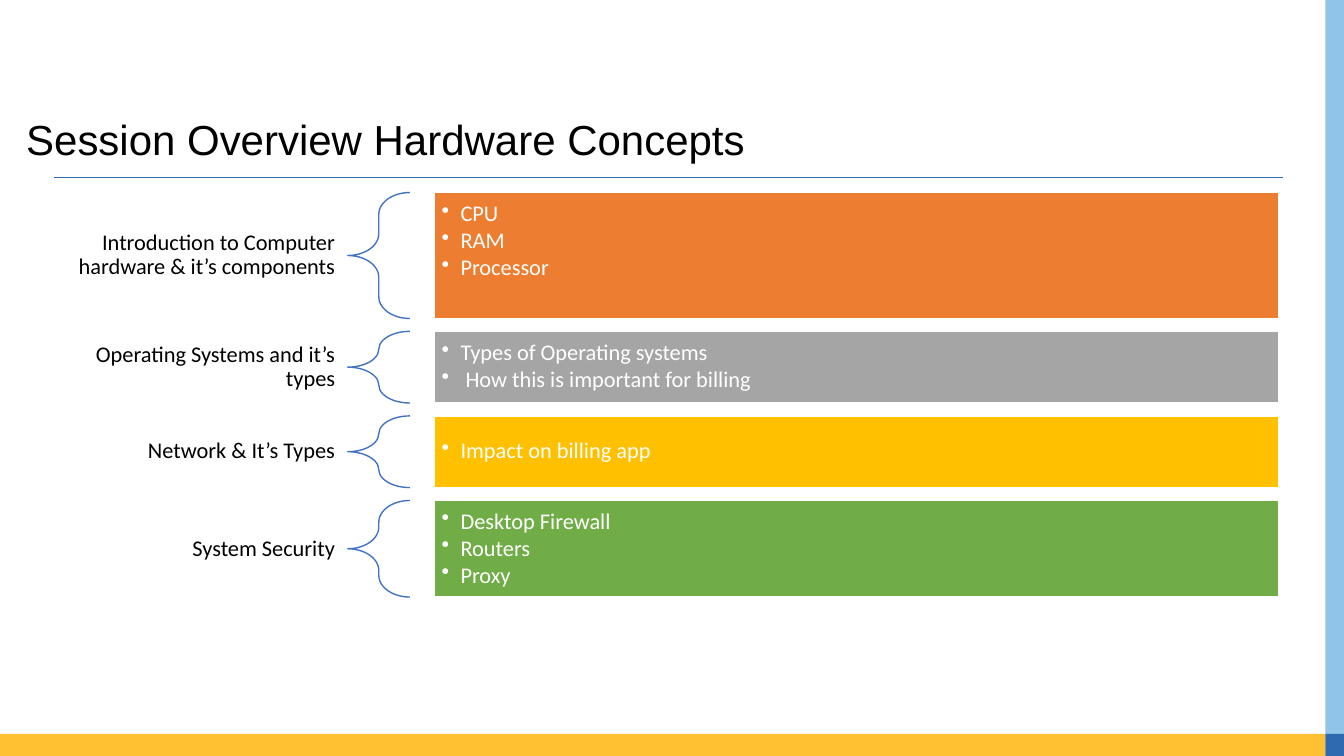
import pptx
import pptx.util
import pptx.dml.color
import pptx.enum.shapes
import pptx.enum.text
import pptx.oxml.ns
from lxml import etree

Pt = pptx.util.Pt
SHAPES = pptx.enum.shapes.MSO_SHAPE
ALIGN = pptx.enum.text.PP_ALIGN
MIDDLE = pptx.enum.text.MSO_ANCHOR.MIDDLE
qn = pptx.oxml.ns.qn

TITLE = "Session Overview Hardware Concepts"
# label, bar colour, row height, room kept free under the bullets, bullets
TOPICS = [
    ("Introduction to Computer hardware & it’s components", "orange", 90, 20,
     ["CPU", "RAM", "Processor"]),
    ("Operating Systems and it’s types", "gray", 51.2, 0,
     ["Types of Operating systems", " How this is important for billing"]),
    ("Network & It’s Types", "gold", 51.2, 0, ["Impact on billing app"]),
    ("System Security", "green", 69, 0,
     ["Desktop Firewall", "Routers", "Proxy"]),
]
COLORS = {
    "black": "000000", "white": "FFFFFF", "brace": "4472C4",
    "orange": "ED7D31", "gray": "A5A5A5", "gold": "FFC000", "green": "70AD47",
    "footer": "FFC031", "side": "90C4E9", "accent": "2F69B0",
}

SLIDE_WIDTH, SLIDE_HEIGHT = 960, 540
SIDE_LEFT, FOOTER_TOP = 946.8, 524.2
FIRST_TOP, ROW_GAP = 137.5, 9.2
LABEL_LEFT, LABEL_WIDTH, LABEL_HEIGHT = 26.6, 221.8, 51.2
BRACE_LEFT, BRACE_WIDTH = 248.4, 44.4
BAR_LEFT, BAR_WIDTH = 310.5, 603.2
BULLET_INDENT = 13.5


def color(name):
    return pptx.dml.color.RGBColor.from_string(COLORS[name])


def add_shape(slide, kind, box, fill=None, line=None):
    shape = slide.shapes.add_shape(kind, *map(Pt, box))
    shape.shadow.inherit = False
    if fill:
        shape.fill.solid()
        shape.fill.fore_color.rgb = color(fill)
    else:
        shape.fill.background()
    if line:
        shape.line.color.rgb = color(line)
        shape.line.width = Pt(1)
    else:
        shape.line.fill.background()
    return shape


def set_frame(text_frame, side, top, bottom):
    text_frame.word_wrap = True
    text_frame.vertical_anchor = MIDDLE
    text_frame.margin_left = text_frame.margin_right = Pt(side)
    text_frame.margin_top, text_frame.margin_bottom = Pt(top), Pt(bottom)


def format_paragraph(paragraph, font_name, size, color_name, align):
    paragraph.alignment = align
    paragraph.line_spacing = 0.9
    for run in paragraph.runs:
        run.font.name = font_name
        run.font.size = Pt(size)
        run.font.color.rgb = color(color_name)


def add_bullet(paragraph):
    properties = paragraph._p.get_or_add_pPr()
    properties.set("marL", str(Pt(BULLET_INDENT)))
    properties.set("indent", str(-Pt(BULLET_INDENT)))
    etree.SubElement(properties, qn("a:buChar")).set("char", "•")


def add_frame(slide):
    """Draw the rule under the title and the bands at the slide's edges."""
    rule = slide.shapes.add_connector(
        pptx.enum.shapes.MSO_CONNECTOR.STRAIGHT,
        Pt(38.7), Pt(126.8), Pt(916.6), Pt(126.8))
    rule.line.color.rgb = color("accent")
    rule.line.width = Pt(0.82)
    etree.SubElement(rule._element.spPr, qn("a:effectLst"))

    side_width = SLIDE_WIDTH - SIDE_LEFT
    footer_height = SLIDE_HEIGHT - FOOTER_TOP
    for box, fill in [
        ((0, FOOTER_TOP, SIDE_LEFT, footer_height), "footer"),
        ((SIDE_LEFT, 0, side_width, FOOTER_TOP), "side"),
        ((SIDE_LEFT, FOOTER_TOP, side_width, footer_height), "accent"),
    ]:
        add_shape(slide, SHAPES.RECTANGLE, box, fill)


def add_title(slide):
    title = slide.shapes.title
    title.left, title.top, title.width, title.height = map(
        Pt, (11.5, 83.5, 878, 36))
    title.text_frame.text = TITLE
    set_frame(title.text_frame, 7.2, 0, 0)
    format_paragraph(title.text_frame.paragraphs[0], "Arial", 30, "black",
                     ALIGN.LEFT)


def add_topic(slide, top, label, fill, height, free_room, bullets):
    label_top = top + (height - LABEL_HEIGHT) / 2
    label_box = slide.shapes.add_textbox(
        *map(Pt, (LABEL_LEFT, label_top, LABEL_WIDTH, LABEL_HEIGHT)))
    label_box.text_frame.text = label
    set_frame(label_box.text_frame, 9, 3, 3)
    format_paragraph(label_box.text_frame.paragraphs[0], "Calibri", 16,
                     "black", ALIGN.RIGHT)

    brace = add_shape(slide, SHAPES.LEFT_BRACE,
                      (BRACE_LEFT, top, BRACE_WIDTH, height), line="brace")
    brace.adjustments[0] = 0.35
    brace.adjustments[1] = 0.5

    bar = add_shape(slide, SHAPES.RECTANGLE,
                    (BAR_LEFT, top, BAR_WIDTH, height), fill, "white")
    bar.text_frame.text = "\n".join(bullets)
    set_frame(bar.text_frame, 5, 5, 5 + free_room)
    for paragraph in bar.text_frame.paragraphs:
        format_paragraph(paragraph, "Calibri", 16, "white", ALIGN.LEFT)
        paragraph.space_after = Pt(2)
        add_bullet(paragraph)


def main():
    presentation = pptx.Presentation()
    presentation.slide_width = Pt(SLIDE_WIDTH)
    presentation.slide_height = Pt(SLIDE_HEIGHT)
    slide = presentation.slides.add_slide(presentation.slide_layouts[5])
    add_frame(slide)
    add_title(slide)
    top = FIRST_TOP
    for label, fill, height, free_room, bullets in TOPICS:
        add_topic(slide, top, label, fill, height, free_room, bullets)
        top += height + ROW_GAP
    presentation.save("out.pptx")


if __name__ == "__main__":
    main()
